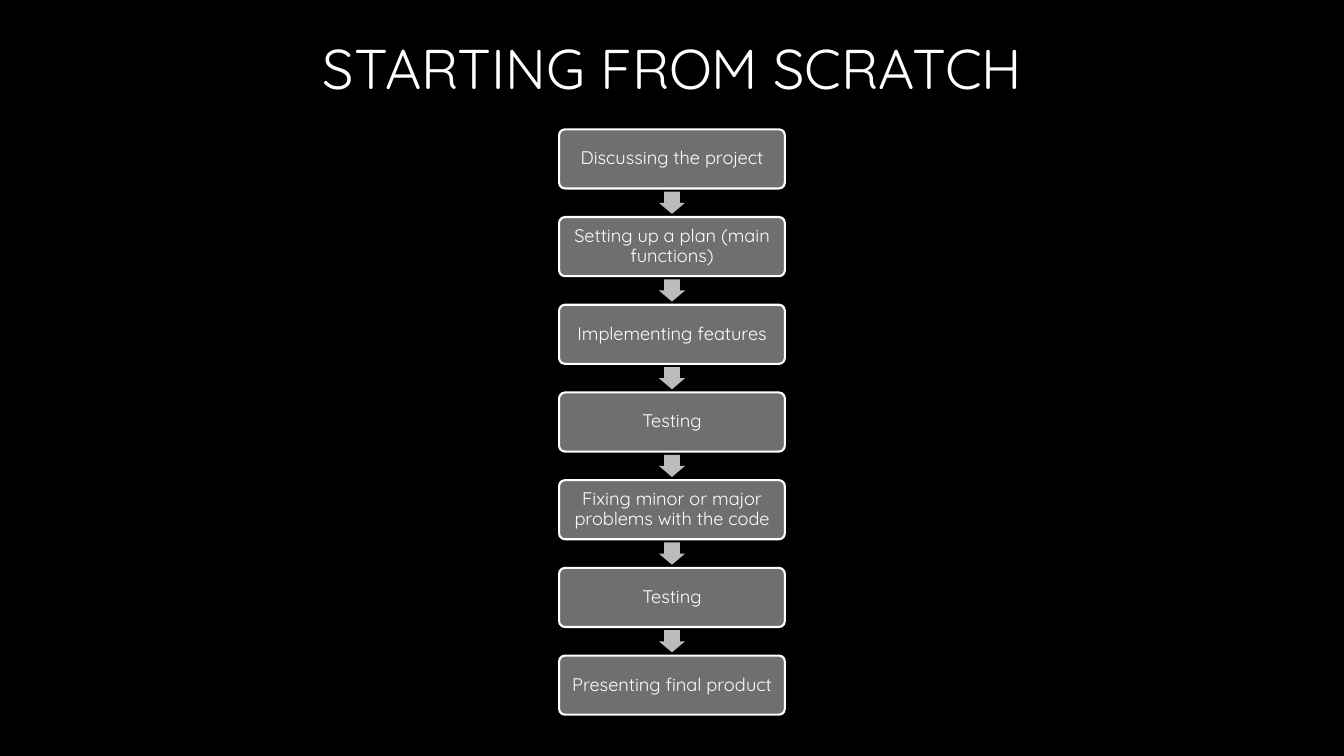
from pptx import Presentation
from pptx.dml.color import RGBColor
from pptx.enum.shapes import MSO_SHAPE as Preset
from pptx.enum.text import MSO_ANCHOR as Anchor, PP_ALIGN as Align
from pptx.oxml import parse_xml
from pptx.oxml.ns import nsdecls
from pptx.util import Cm, Pt

BLACK = RGBColor(0x00, 0x00, 0x00)
WHITE = RGBColor(0xFF, 0xFF, 0xFF)
STEP_GREY = RGBColor(0x6F, 0x6F, 0x6F)
ARROW_GREY = RGBColor(0xBB, 0xBB, 0xBB)

SLIDE_W, SLIDE_H = 33.87, 19.05
STEP_W, STEP_H = 5.69, 1.49
ARROW_W, ARROW_H = 0.66, 0.56
FIRST_TOP, PITCH = 3.26, 2.21

STEPS = [
    "Discussing the project",
    "Setting up a plan (main functions)",
    "Implementing features",
    "Testing",
    "Fixing minor or major problems with the code",
    "Testing",
    "Presenting final product",
]


def write(shape, text, size):
    """Put one centred white line of text in a shape."""
    frame = shape.text_frame
    frame.word_wrap = True
    frame.vertical_anchor = Anchor.MIDDLE
    paragraph = frame.paragraphs[0]
    paragraph.alignment = Align.CENTER
    paragraph.line_spacing = 0.9
    run = paragraph.add_run()
    run.text = text
    for key, value in {"name": "Quicksand", "size": Pt(size), "bold": False}.items():
        setattr(run.font, key, value)
    run.font.color.rgb = WHITE
    return run


def add_centred(preset, top, width, height, fill):
    """Add a filled shape on the vertical axis of the slide."""
    shape = slide.shapes.add_shape(
        preset, Cm((SLIDE_W - width) / 2), Cm(top), Cm(width), Cm(height))
    shape.shadow.inherit = False
    shape.fill.solid()
    shape.fill.fore_color.rgb = fill
    return shape


prs = Presentation()
prs.slide_width, prs.slide_height = Cm(SLIDE_W), Cm(SLIDE_H)
slide = prs.slides.add_slide(prs.slide_layouts[5])
slide.background.fill.solid()
slide.background.fill.fore_color.rgb = BLACK

# Title with a soft grey shadow
title = slide.shapes.title
title_box = {"left": -0.15, "top": -0.84, "width": 34.19, "height": 5.28}
for side, length in title_box.items():
    setattr(title, side, Cm(length))
heading = write(title, "STARTING FROM SCRATCH", 40)
glow = parse_xml(
    f'<a:effectLst {nsdecls("a")}><a:outerShdw blurRad="38100" dist="25400" dir="2700000">'
    '<a:srgbClr val="808080"><a:alpha val="45000"/></a:srgbClr></a:outerShdw></a:effectLst>')
heading.font.fill._xPr.find("{*}solidFill").addnext(glow)

# Steps, with an arrow midway between each pair
for index, label in enumerate(STEPS):
    top = FIRST_TOP + index * PITCH
    step = add_centred(Preset.ROUNDED_RECTANGLE, top, STEP_W, STEP_H, STEP_GREY)
    step.adjustments[0] = 0.1
    step.line.color.rgb = WHITE
    step.line.width = Pt(1.5)
    for side in ("left", "right", "top", "bottom"):
        setattr(step.text_frame, f"margin_{side}", Cm(0.17))
    write(step, label, 13)

    if index < len(STEPS) - 1:
        arrow_top = top + (STEP_H + PITCH - ARROW_H) / 2
        arrow = add_centred(Preset.DOWN_ARROW, arrow_top, ARROW_W, ARROW_H, ARROW_GREY)
        arrow.adjustments[0] = 0.6
        arrow.adjustments[1] = 0.5
        arrow.line.fill.background()

prs.save("out.pptx")
